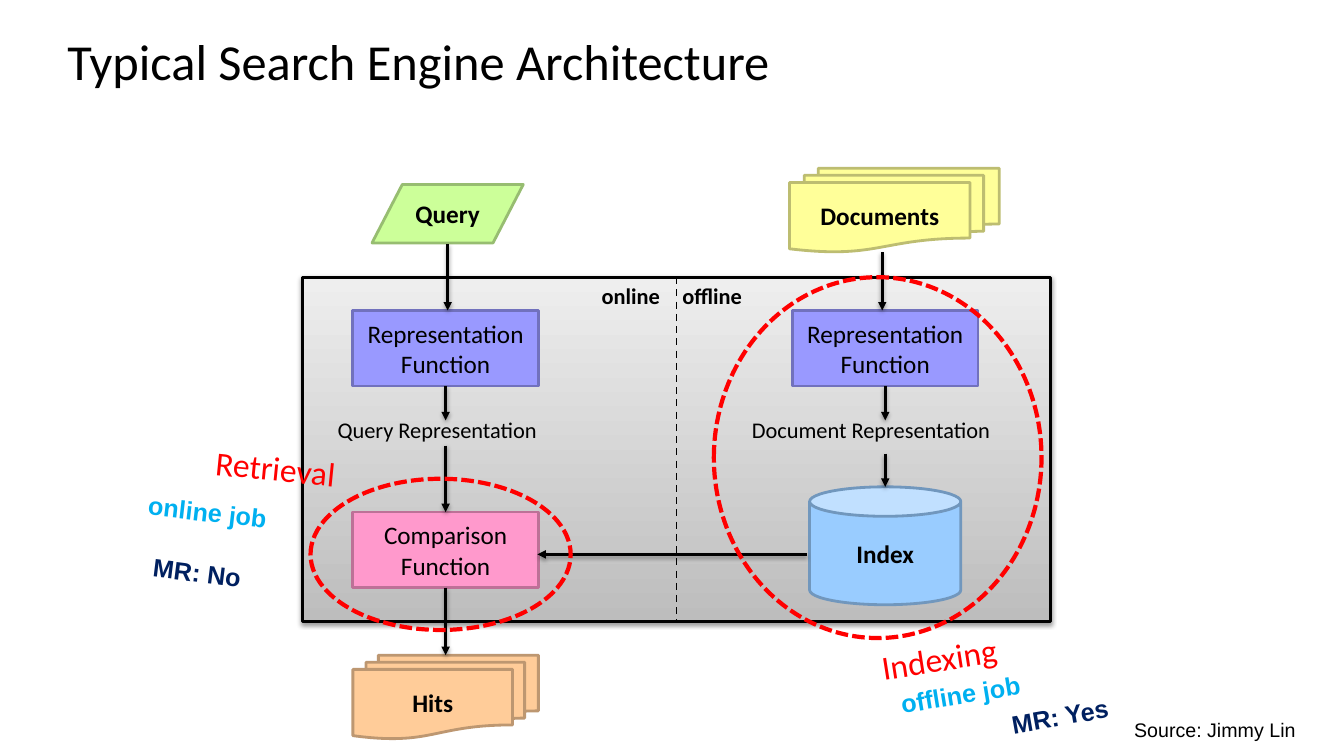
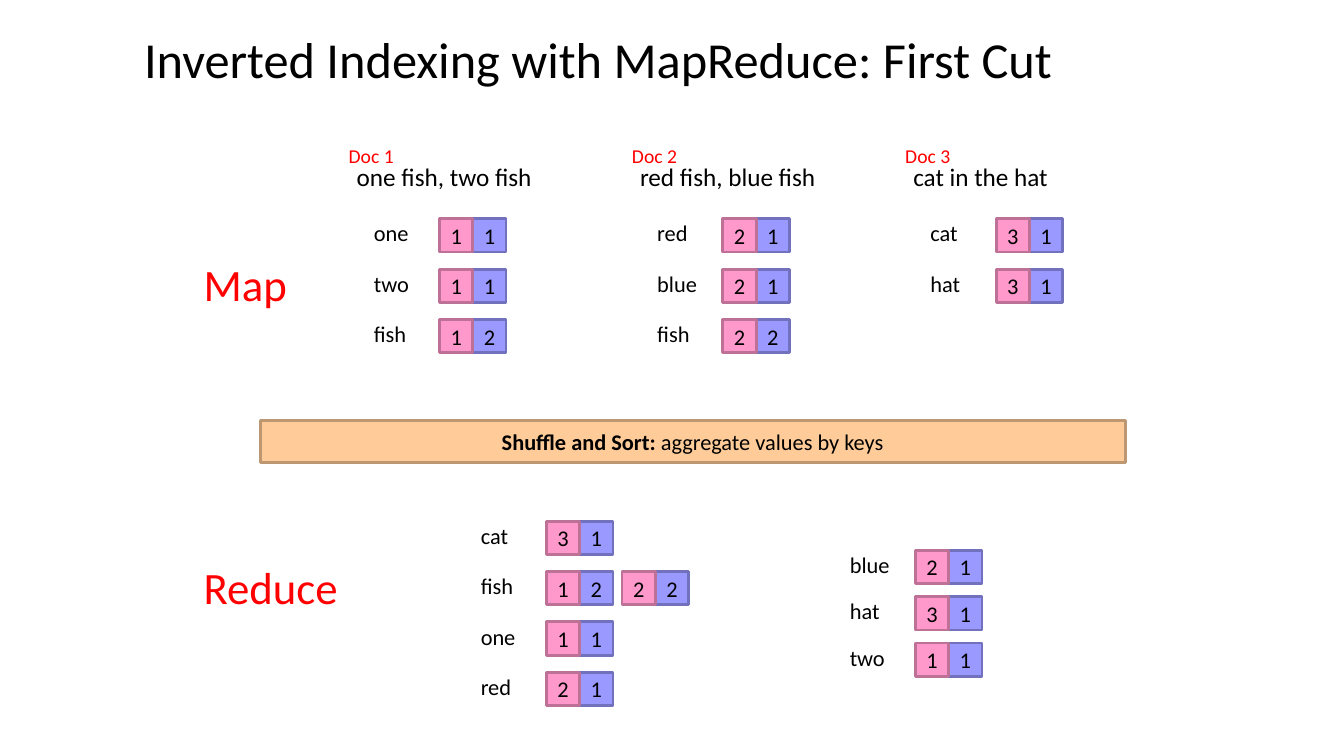
from lxml import etree
from pptx import Presentation
from pptx.dml.color import RGBColor
from pptx.enum.dml import MSO_LINE
from pptx.enum.shapes import MSO_CONNECTOR, MSO_SHAPE
from pptx.enum.text import MSO_ANCHOR, PP_ALIGN
from pptx.oxml.ns import qn
from pptx.util import Inches, Pt

BLACK = RGBColor(0x00, 0x00, 0x00)
RED = RGBColor(0xFF, 0x00, 0x00)
SKY = RGBColor(0x00, 0xB0, 0xF0)
NAVY = RGBColor(0x00, 0x20, 0x60)
YELLOW = RGBColor(0xFF, 0xFF, 0x99)
GREEN = RGBColor(0xCC, 0xFF, 0x99)
ORANGE = RGBColor(0xFF, 0xCC, 0x99)
VIOLET = RGBColor(0x99, 0x99, 0xFF)
PINK = RGBColor(0xFF, 0x99, 0xCC)
BLUE = RGBColor(0x99, 0xCC, 0xFF)
DARK_GREY = RGBColor(0xBD, 0xBD, 0xBD)
LIGHT_GREY = RGBColor(0xEE, 0xEE, 0xEE)

RECTANGLE = MSO_SHAPE.RECTANGLE
ELLIPSE = MSO_SHAPE.OVAL
PARALLELOGRAM = MSO_SHAPE.FLOWCHART_DATA
DOCUMENT_STACK = MSO_SHAPE.FLOWCHART_MULTIDOCUMENT
CYLINDER = MSO_SHAPE.CAN
STRAIGHT = MSO_CONNECTOR.STRAIGHT
DASH = MSO_LINE.DASH
SHORT_DASH = MSO_LINE.SQUARE_DOT
CENTER = PP_ALIGN.CENTER
MIDDLE = MSO_ANCHOR.MIDDLE

TOP, BOTTOM = 0, 2
CELL = 0.33
COLUMN_STEP = 0.75


def darker(color):
    return RGBColor(*(round(channel * 0.74) for channel in color))


def add_soft_shadow(effects):
    shadow = etree.SubElement(effects, qn("a:outerShdw"), blurRad=str(Pt(3.1)),
                              dist=str(Pt(1.6)), dir="5400000", rotWithShape="0")
    color = etree.SubElement(shadow, qn("a:srgbClr"), val=str(BLACK))
    etree.SubElement(color, qn("a:alpha"), val="38000")


class Deck:
    """Holds the shared style and the slide being drawn."""

    def __init__(self):
        self.presentation = Presentation()
        self.presentation.slide_width = Inches(13.33)
        self.presentation.slide_height = Inches(7.5)
        self.slide = None

    def new_slide(self, title, left, top, width):
        layout = self.presentation.slide_layouts[6]
        self.slide = self.presentation.slides.add_slide(layout)
        self.label(title, left, top, width, 0.75, size=36)

    def format_runs(self, text_frame, size, color=BLACK, bold=False, font="Calibri"):
        for paragraph in text_frame.paragraphs:
            for run in paragraph.runs:
                run.font.name = font
                run.font.size = Pt(size)
                run.font.bold = bold
                run.font.color.rgb = color

    def label(self, text, left, top, width, height=0.4, size=16, rotation=0, **style):
        box = self.slide.shapes.add_textbox(
            Inches(left), Inches(top), Inches(width), Inches(height))
        box.rotation = rotation
        box.text_frame.word_wrap = True
        box.text_frame.text = text
        self.format_runs(box.text_frame, size, **style)

    def outline(self, kind, left, top, width, height, color, weight):
        shape = self.slide.shapes.add_shape(
            kind, Inches(left), Inches(top), Inches(width), Inches(height))
        shape.shadow.inherit = False
        shape.fill.background()
        shape.line.color.rgb = color
        shape.line.width = Pt(weight)
        return shape

    def block(self, kind, text, left, top, width, height, fill, size=18, bold=False):
        """Draw a filled shape with centred text and a darker border."""
        shape = self.outline(kind, left, top, width, height, darker(fill), 2)
        shape.fill.solid()
        shape.fill.fore_color.rgb = fill
        frame = shape.text_frame
        frame.margin_left = frame.margin_right = 0
        frame.margin_top = frame.margin_bottom = 0
        frame.word_wrap = False
        frame.vertical_anchor = MIDDLE
        frame.text = text
        for paragraph in frame.paragraphs:
            paragraph.alignment = CENTER
        self.format_runs(frame, size, bold=bold)
        return shape

    def panel(self, left, top, width, height):
        shape = self.outline(RECTANGLE, left, top, width, height, BLACK, 2)
        shape.fill.gradient()
        shape.fill.gradient_angle = 90
        for stop, color in zip(shape.fill.gradient_stops, (DARK_GREY, LIGHT_GREY)):
            stop.color.rgb = color
        add_soft_shadow(shape.element.spPr.find(qn("a:effectLst")))

    def highlight(self, left, top, width, height):
        ring = self.outline(ELLIPSE, left, top, width, height, RED, 3)
        ring.line.dash_style = SHORT_DASH

    def line(self, start, end, weight):
        connector = self.slide.shapes.add_connector(
            STRAIGHT, *(Inches(value) for value in (*start, *end)))
        connector.line.color.rgb = BLACK
        connector.line.width = Pt(weight)
        etree.SubElement(connector.element.spPr, qn("a:effectLst"))
        return connector

    def divider(self, x, top, bottom):
        self.line((x, top), (x, bottom), 1.25).line.dash_style = DASH

    def arrow(self, start, end, source=None, target=None):
        """Draw an arrow, joined to a source's bottom or a target's top if given."""
        connector = self.line(start, end, 2)
        properties = connector.element.spPr
        etree.SubElement(properties.find(qn("a:ln")), qn("a:tailEnd"), type="triangle")
        add_soft_shadow(properties.find(qn("a:effectLst")))
        if source is not None:
            connector.begin_connect(source, BOTTOM)
        if target is not None:
            connector.end_connect(target, TOP)

    def posting(self, left, top, document, count):
        """Draw a document number next to a term count."""
        for offset, number, fill in ((CELL, count, VIOLET), (0, document, PINK)):
            self.block(RECTANGLE, str(number), left + offset, top, CELL, CELL,
                       fill, size=16)

    def posting_lists(self, left, top, pitch, rows):
        for index, (term, *postings) in enumerate(rows):
            row_top = top + index * pitch
            self.label(term, left, row_top - 0.04, COLUMN_STEP)
            for column, (document, count) in enumerate(postings, start=1):
                self.posting(left + column * COLUMN_STEP, row_top, document, count)


def draw_architecture(deck):
    deck.new_slide("Typical Search Engine Architecture", 0.57, 0.25, 10)
    deck.panel(3, 2.75, 7.42, 3.42)
    deck.block(DOCUMENT_STACK, "Documents", 7.83, 1.67, 2.08, 0.83, YELLOW, bold=True)
    deck.block(PARALLELOGRAM, "Query", 3.69, 1.83, 1.5, 0.58, GREEN, bold=True)
    deck.block(DOCUMENT_STACK, "Hits", 3.5, 6.5, 1.84, 0.83, ORANGE, bold=True)
    deck.block(CYLINDER, "Index", 8.03, 4.83, 1.5, 1.17, BLUE, bold=True)
    query_function, document_function, comparison = (
        deck.block(RECTANGLE, f"{name}\nFunction", left, top, 1.84, 0.75, fill)
        for name, left, top, fill in (
            ("Representation", 3.5, 3.08, VIOLET),
            ("Representation", 7.86, 3.08, VIOLET),
            ("Comparison", 3.5, 5.08, PINK)))

    deck.label("Query Representation", 3.25, 4.08, 2.4)
    deck.label("Document Representation", 7.36, 4.08, 2.81)
    deck.label("online", 5.87, 2.75, 0.86, bold=True)
    deck.label("offline", 6.67, 2.75, 0.88, bold=True)
    deck.divider(6.71, 2.75, 6.17)

    deck.arrow((4.44, 2.42), (4.44, 3.08))
    deck.arrow((4.42, 3.83), (4.42, 4.17), source=query_function)
    deck.arrow((4.42, 4.42), (4.42, 5.08), target=comparison)
    deck.arrow((4.42, 5.83), (4.42, 6.5), source=comparison)
    deck.arrow((8.75, 2.5), (8.75, 3.08))
    deck.arrow((8.78, 3.83), (8.78, 4.17), source=document_function)
    deck.arrow((8.78, 4.5), (8.78, 4.83))
    deck.arrow((8, 5.5), (5.33, 5.5))

    deck.highlight(7.08, 2.75, 3.25, 3.58)
    deck.highlight(3.08, 4.75, 2.58, 1.5)
    deck.label("Indexing", 8.64, 6.27, 1.48, 0.5, 24, 351.1, color=RED)
    deck.label("Retrieval", 2.04, 4.4, 1.53, 0.5, 24, 5.8, color=RED)
    for text, left, top, width, rotation, color in (
            ("offline job", 8.83, 6.68, 1.45, 350.7, SKY),
            ("online job", 1.37, 4.88, 1.42, 6.5, SKY),
            ("MR: Yes", 9.93, 6.9, 1.21, 350, NAVY),
            ("MR: No", 1.42, 5.48, 1.12, 7.1, NAVY)):
        deck.label(text, left, top, width, size=18, rotation=rotation,
                   color=color, bold=True, font="Arial")
    deck.label("Source: Jimmy Lin", 11.15, 7.07, 1.9, 0.34, 14, font="Arial")


def draw_inverted_indexing(deck):
    deck.new_slide("Inverted Indexing with MapReduce: First Cut", 1.33, 0.23, 10.88)
    documents = (
        (3.61, "one fish, two fish",
         (("one", (1, 1)), ("two", (1, 1)), ("fish", (1, 2)))),
        (6.42, "red fish, blue fish",
         (("red", (2, 1)), ("blue", (2, 1)), ("fish", (2, 2)))),
        (9.13, "cat in the hat",
         (("cat", (3, 1)), ("hat", (3, 1)))),
    )
    for number, (left, content, rows) in enumerate(documents, start=1):
        deck.label(content, left - 0.17, 1.55, 2.2, size=18)
        deck.label(f"Doc {number}", left - 0.25, 1.38, 0.8, 0.34, 14, color=RED)
        deck.posting_lists(left, 2.17, 0.5, rows)

    bar = deck.block(RECTANGLE, "Shuffle and Sort:", 2.58, 4.17, 8.58, 0.42,
                     ORANGE, size=16)
    paragraph = bar.text_frame.paragraphs[0]
    paragraph.add_run().text = " aggregate values by keys"
    deck.format_runs(bar.text_frame, 16)
    paragraph.runs[0].font.bold = True

    deck.posting_lists(4.67, 5.17, 0.5, (
        ("cat", (3, 1)), ("fish", (1, 2), (2, 2)), ("one", (1, 1)), ("red", (2, 1))))
    deck.posting_lists(8.33, 5.46, 0.46, (
        ("blue", (2, 1)), ("hat", (3, 1)), ("two", (1, 1))))
    for phase, top in (("Map", 2.5), ("Reduce", 5.5)):
        deck.label(phase, 1.92, top, 1.75, 0.64, 32, color=RED)


def main():
    deck = Deck()
    draw_architecture(deck)
    draw_inverted_indexing(deck)
    deck.presentation.save("out.pptx")


if __name__ == "__main__":
    main()
